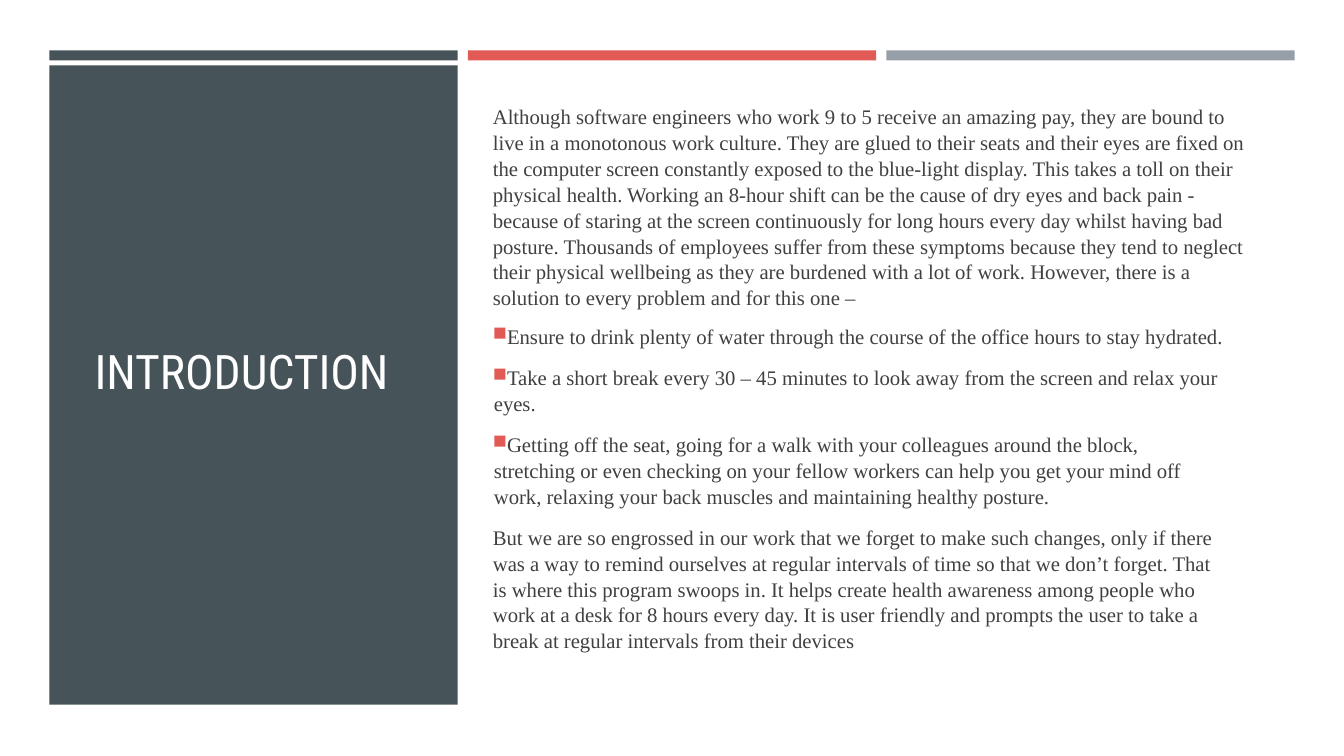
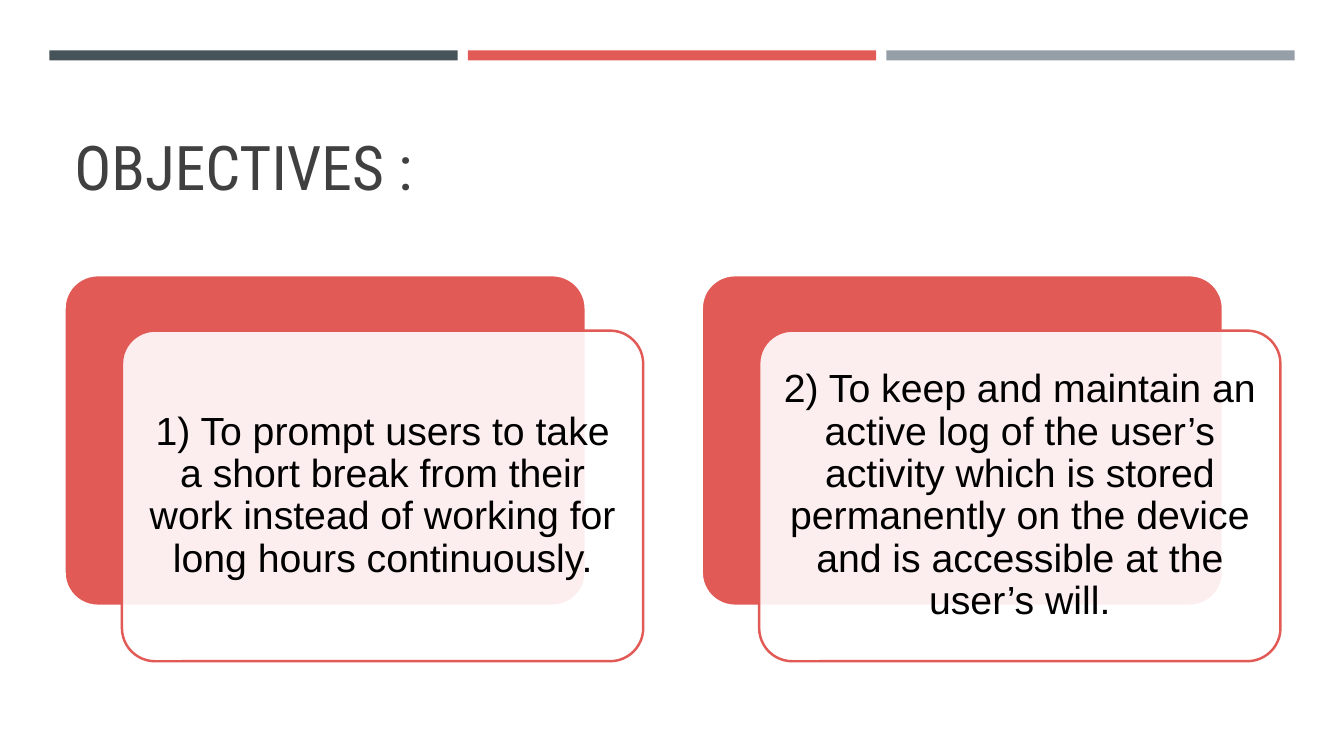
from dataclasses import dataclass

from lxml.etree import SubElement
from pptx import Presentation
from pptx.dml.color import RGBColor
from pptx.enum.shapes import MSO_SHAPE
from pptx.enum.text import MSO_ANCHOR, PP_ALIGN
from pptx.oxml.ns import qn
from pptx.util import Inches, Pt


@dataclass(frozen=True)
class Theme:
    """Colours, fonts and type sizes of the deck."""
    slate: str = "465359"
    coral: str = "E25A56"
    grey: str = "969FA7"
    white: str = "FFFFFF"
    title_light: str = "FFFEFF"
    ink: str = "404040"
    black: str = "000000"
    title_font: str = "Roboto Condensed"
    body_font: str = "Times New Roman"
    card_font: str = "Arial"
    panel_title_size: float = 34
    title_size: float = 44
    body_size: float = 14.8
    card_size: float = 28
    outline: float = 1.75


THEME = Theme()
MARGIN = 0.49
BAND_WIDTH = 4.05
BAND_PITCH = 4.15

OPENING = (
    "Although software engineers who work 9 to 5 receive an amazing pay, they are bound to "
    "live in a monotonous work culture. They are glued to their seats and their eyes are fixed on "
    "the computer screen constantly exposed to the blue-light display. This takes a toll on their "
    "physical health. Working an 8-hour shift can be the cause of dry eyes and back pain - "
    "because of staring at the screen continuously for long hours every day whilst having bad "
    "posture. Thousands of employees suffer from these symptoms because they tend to neglect "
    "their physical wellbeing as they are burdened with a lot of work. However, there is a "
    "solution to every problem and for this one –"
)
TIPS = (
    "Ensure to drink plenty of water through the course of the office hours to stay hydrated.",
    "Take a short break every 30 – 45 minutes to look away from the screen and relax your eyes.",
    "Getting off the seat, going for a walk with your colleagues around the block, stretching "
    "or even checking on your fellow workers can help you get your mind off work, relaxing "
    "your back muscles and maintaining healthy posture.",
)
CLOSING = (
    "But we are so engrossed in our work that we forget to make such changes, only if there "
    "was a way to remind ourselves at regular intervals of time so that we don’t forget. That "
    "is where this program swoops in. It helps create health awareness among people who "
    "work at a desk for 8 hours every day. It is user friendly and prompts the user to take a "
    "break at regular intervals from their devices"
)
OBJECTIVES = (
    "1) To prompt users to take a short break from their work instead of working for "
    "long hours continuously.",
    "2) To keep and maintain an active log of the user’s activity which is stored "
    "permanently on the device and is accessible at the user’s will.",
)


def rgb(colour):
    """Turn a hex string into a colour."""
    return RGBColor.from_string(colour)


def set_text(paragraph, text, *, font, size, colour, line_spacing=0.9,
             before=0, after=0, align=PP_ALIGN.LEFT):
    """Write text into a paragraph with its format."""
    paragraph.alignment = align
    paragraph.line_spacing = line_spacing
    paragraph.space_before = Pt(before)
    paragraph.space_after = Pt(after)
    run = paragraph.add_run()
    run.text = text
    run.font.name = font
    run.font.size = Pt(size)
    run.font.color.rgb = rgb(colour)


def set_frame(frame, *, anchor, inset=None):
    """Wrap a text frame, anchor it and set its insets."""
    frame.word_wrap = True
    frame.vertical_anchor = anchor
    if inset is not None:
        frame.margin_left = frame.margin_right = Inches(inset)
        frame.margin_top = frame.margin_bottom = Inches(inset)


def add_frame(slide, box, anchor):
    """Add a text box and return its text frame."""
    frame = slide.shapes.add_textbox(*map(Inches, box)).text_frame
    set_frame(frame, anchor=anchor)
    return frame


def add_block(shapes, box, fill, *, preset=MSO_SHAPE.RECTANGLE, line=None, alpha=None):
    """Add a filled preset shape."""
    shape = shapes.add_shape(preset, *map(Inches, box))
    shape.shadow.inherit = False
    shape.fill.solid()
    shape.fill.fore_color.rgb = rgb(fill)
    if alpha is not None:
        colour = shape.fill._xPr.find(qn("a:solidFill"))[0]
        SubElement(colour, qn("a:alpha"), val=str(alpha * 1000))
    if line:
        shape.line.color.rgb = rgb(line)
        shape.line.width = Pt(THEME.outline)
    else:
        shape.line.fill.background()
    if preset == MSO_SHAPE.ROUNDED_RECTANGLE:
        shape.adjustments[0] = 0.1
    return shape


def add_square_bullet(paragraph):
    """Give a paragraph a small coloured square bullet."""
    properties = paragraph._p.get_or_add_pPr()
    properties.set("marL", str(Inches(0.01)))
    properties.set("indent", str(-Inches(0.01)))
    colour = SubElement(properties, qn("a:buClr"))
    SubElement(colour, qn("a:srgbClr"), val=THEME.coral)
    SubElement(properties, qn("a:buSzPct"), val="92000")
    SubElement(properties, qn("a:buChar"), char="■")


def add_bands(slide):
    """Draw the three bands along the top."""
    for column, colour in enumerate((THEME.slate, THEME.coral, THEME.grey)):
        left = MARGIN + column * BAND_PITCH
        add_block(slide.shapes, (left, 0.5, BAND_WIDTH, 0.1), colour)


def add_title(slide, box, text, *, size, colour, anchor):
    """Add a slide title."""
    frame = add_frame(slide, box, anchor)
    set_text(frame.paragraphs[0], text, font=THEME.title_font, size=size, colour=colour)


def add_title_panel(slide, box, text):
    """Draw the dark side panel with its title."""
    left, top, width, height = box
    add_block(slide.shapes, box, THEME.slate)
    add_title(slide, (left + 0.35, top + 0.49, width - 0.71, height - 1.19), text,
              size=THEME.panel_title_size, colour=THEME.title_light, anchor=MSO_ANCHOR.MIDDLE)


def add_body(slide, box):
    """Add the opening, the bulleted tips and the closing."""
    frame = add_frame(slide, box, MSO_ANCHOR.MIDDLE)
    rows = [(OPENING, False, 0.1), *((tip, True, 0.34) for tip in TIPS), (CLOSING, False, 0.34)]
    for index, (text, bulleted, right_margin) in enumerate(rows):
        paragraph = frame.add_paragraph() if index else frame.paragraphs[0]
        set_text(paragraph, text, font=THEME.body_font, size=THEME.body_size, colour=THEME.ink,
                 line_spacing=1.04, before=3, after=8 if bulleted else 6)
        paragraph._p.get_or_add_pPr().set("marR", str(Inches(right_margin)))
        if bulleted:
            add_square_bullet(paragraph)


def add_objective_card(shapes, box, text):
    """Draw a coral card with a text card overlapping it."""
    left, top, width, height = box
    card_width, card_height = width - 0.57, height - 0.55
    add_block(shapes, (left, top, card_width, card_height), THEME.coral,
              preset=MSO_SHAPE.ROUNDED_RECTANGLE, line=THEME.white)
    card = add_block(shapes, (left + 0.57, top + 0.55, card_width, card_height), THEME.white,
                     preset=MSO_SHAPE.ROUNDED_RECTANGLE, line=THEME.coral, alpha=90)
    set_frame(card.text_frame, anchor=MSO_ANCHOR.MIDDLE, inset=0.12)
    set_text(card.text_frame.paragraphs[0], text, font=THEME.card_font, size=THEME.card_size,
             colour=THEME.black, align=PP_ALIGN.CENTER)


def add_slide(presentation):
    """Add a blank slide with the shared bands."""
    slide = presentation.slides.add_slide(presentation.slide_layouts[6])
    add_bands(slide)
    return slide


def build_introduction(presentation):
    """Build the introduction slide."""
    slide = add_slide(presentation)
    add_title_panel(slide, (MARGIN, 0.65, BAND_WIDTH, 6.34), "INTRODUCTION")
    add_body(slide, (4.79, 0.82, 7.8, 5.86))


def build_objectives(presentation):
    """Build the objectives slide."""
    slide = add_slide(presentation)
    add_title(slide, (0.64, 0.77, 12.06, 1.3), "OBJECTIVES :",
              size=THEME.title_size, colour=THEME.ink, anchor=MSO_ANCHOR.BOTTOM)
    group = slide.shapes.add_group_shape()
    for column, text in enumerate(OBJECTIVES):
        add_objective_card(group.shapes, (0.64 + column * 6.32, 2.73, 5.74, 3.83), text)


def main():
    """Build and save the deck."""
    presentation = Presentation()
    presentation.slide_width = Inches(13.33)
    presentation.slide_height = Inches(7.5)
    build_introduction(presentation)
    build_objectives(presentation)
    presentation.save("out.pptx")


if __name__ == "__main__":
    main()
